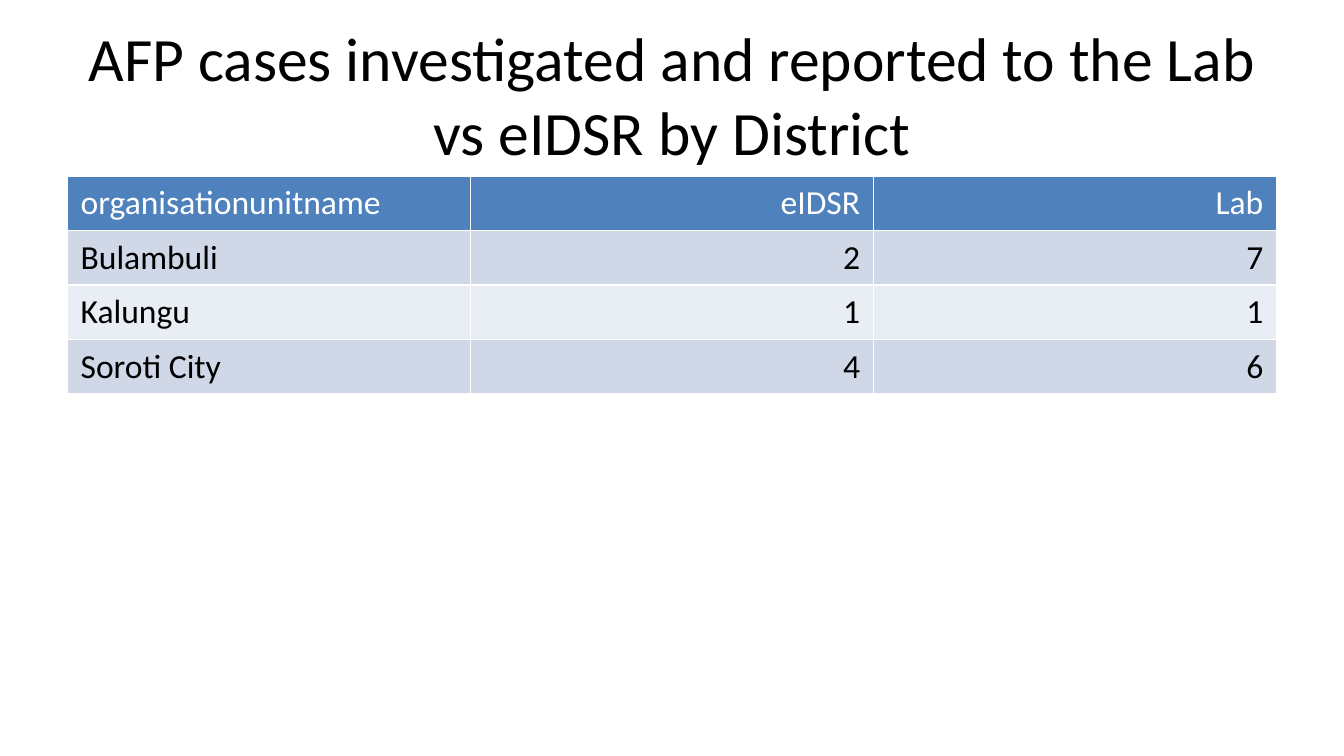
"""Build a slide comparing AFP cases in eIDSR and the Lab by district."""
import dataclasses

import pptx
import pptx.dml.color
import pptx.enum.text
import pptx.util


@dataclasses.dataclass(frozen=True)
class Theme:
    font: str = "Calibri"
    title_size: int = 33
    table_size: int = 18
    ink: str = "000000"
    header_ink: str = "FFFFFF"
    header_fill: str = "4F81BD"
    bands: tuple = ("D0D8E8", "E9EDF4")


def format_text(text_frame, size, color, align):
    for paragraph in text_frame.paragraphs:
        paragraph.alignment = align
        for run in paragraph.runs:
            run.font.name = theme.font
            run.font.size = pptx.util.Pt(size)
            run.font.bold = False
            run.font.color.rgb = pptx.dml.color.RGBColor.from_string(color)


theme = Theme()
Align = pptx.enum.text.PP_ALIGN
district_cases = [
    ("organisationunitname", "eIDSR", "Lab"),
    ("Bulambuli", "2", "7"),
    ("Kalungu", "1", "1"),
    ("Soroti City", "4", "6"),
]

deck = pptx.Presentation()
deck.slide_width = pptx.util.Inches(10)
deck.slide_height = deck.slide_width * 9 // 16
slide = deck.slides.add_slide(deck.slide_layouts[5])

margin = int(deck.slide_width * 0.05)
content_width = deck.slide_width - 2 * margin
row_height = pptx.util.Inches(0.4)

title = slide.shapes.title
title.left, title.top = margin, int(deck.slide_height * 0.04)
title.width, title.height = content_width, pptx.util.Inches(0.94)
title.text_frame.text = "AFP cases investigated and reported to the Lab vs eIDSR by District"
title.text_frame.word_wrap = True
title.text_frame.auto_size = pptx.enum.text.MSO_AUTO_SIZE.NONE
title.text_frame.vertical_anchor = pptx.enum.text.MSO_ANCHOR.MIDDLE
format_text(title.text_frame, theme.title_size, theme.ink, Align.CENTER)

cases_table = slide.shapes.add_table(
    len(district_cases), len(district_cases[0]),
    margin, pptx.util.Inches(1.31),
    content_width, row_height * len(district_cases),
).table

for row, values in enumerate(district_cases):
    fill = theme.bands[(row - 1) % 2] if row else theme.header_fill
    ink = theme.ink if row else theme.header_ink
    for column, value in enumerate(values):
        cell = cases_table.cell(row, column)
        cell.text_frame.text = value
        cell.fill.solid()
        cell.fill.fore_color.rgb = pptx.dml.color.RGBColor.from_string(fill)
        format_text(cell.text_frame, theme.table_size, ink, Align.RIGHT if column else Align.LEFT)

deck.save("out.pptx")
